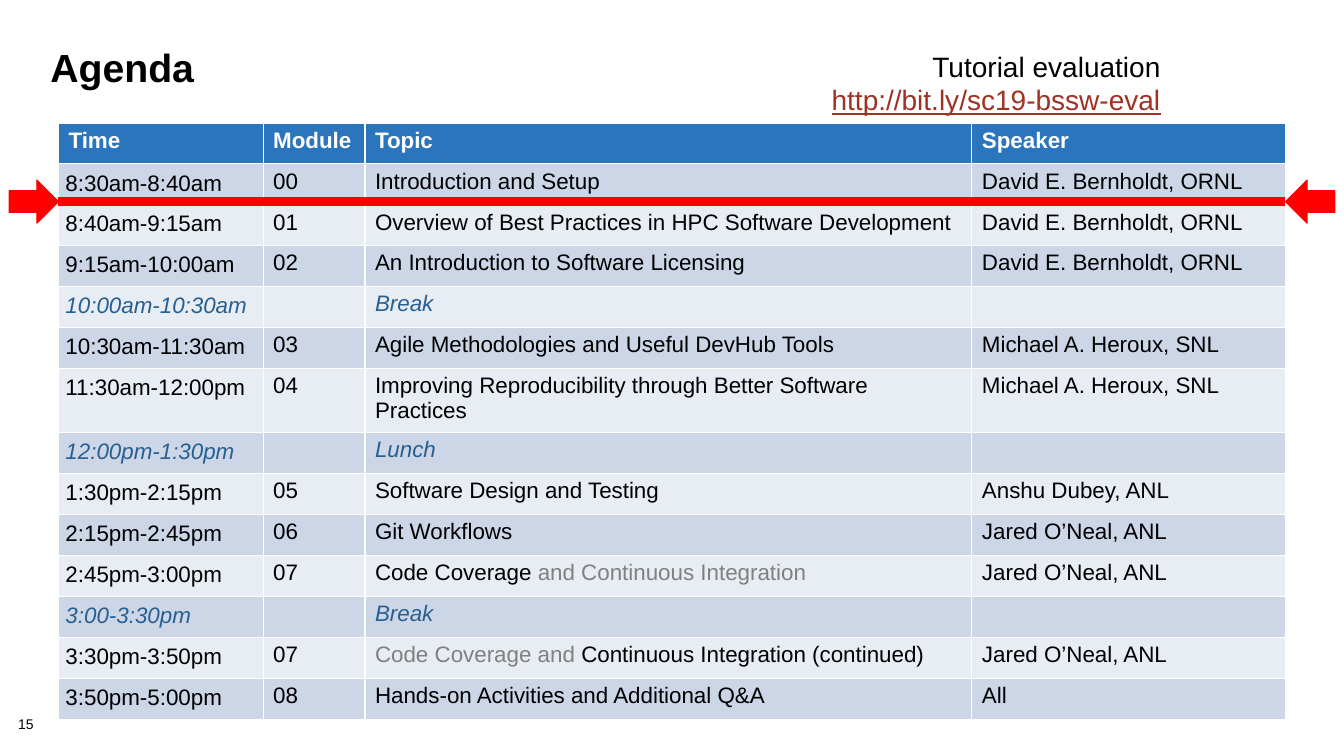
from dataclasses import dataclass

from lxml import etree
from pptx import Presentation
from pptx.dml.color import RGBColor
from pptx.enum.shapes import MSO_CONNECTOR, MSO_SHAPE
from pptx.enum.text import MSO_ANCHOR, PP_ALIGN
from pptx.oxml.ns import qn
from pptx.util import Inches, Pt

BLACK = RGBColor(0x00, 0x00, 0x00)
WHITE = RGBColor(0xFF, 0xFF, 0xFF)
GRAY = RGBColor(0x80, 0x80, 0x80)
RED = RGBColor(0xFF, 0x00, 0x00)
LINK_RED = RGBColor(0xA0, 0x31, 0x23)
PAUSE_BLUE = RGBColor(0x26, 0x60, 0x93)
HEADER_BLUE = RGBColor(0x2A, 0x75, 0xBB)
BAND_DARK = RGBColor(0xCD, 0xD6, 0xE7)
BAND_LIGHT = RGBColor(0xE8, 0xEC, 0xF3)

STRAIGHT = MSO_CONNECTOR.STRAIGHT
RIGHT_ARROW = MSO_SHAPE.RIGHT_ARROW
TOP = MSO_ANCHOR.TOP
ALIGN_LEFT, ALIGN_RIGHT = PP_ALIGN.LEFT, PP_ALIGN.RIGHT

FONT = "Arial"
TABLE_LEFT, TABLE_TOP = 0.58, 1.22
COLUMN_WIDTHS = (2.03, 1.01, 6.02, 3.11)
TABLE_RIGHT = TABLE_LEFT + sum(COLUMN_WIDTHS)
ROWS_HEIGHT = 5.68
MARKER_Y = 2.0
ARROW_WIDTH, ARROW_HEIGHT = 0.49, 0.43


@dataclass(frozen=True)
class Span:
    text: str
    color: RGBColor = BLACK


@dataclass(frozen=True)
class Session:
    time: str
    module: str
    topic: tuple[Span, ...]
    speaker: str

    @property
    def is_pause(self) -> bool:
        return not self.module


def session(time: str, module: str, topic: str, speaker: str) -> Session:
    return Session(time, module, (Span(topic),), speaker)


def pause(time: str, topic: str) -> Session:
    return Session(time, "", (Span(topic, PAUSE_BLUE),), "")


BERNHOLDT = "David E. Bernholdt, ORNL"
HEROUX = "Michael A. Heroux, SNL"
ONEAL = "Jared O’Neal, ANL"

HEADINGS = ("Time", "Module", "Topic", "Speaker")
SESSIONS = (
    session("8:30am-8:40am", "00", "Introduction and Setup", BERNHOLDT),
    session("8:40am-9:15am", "01",
            "Overview of Best Practices in HPC Software Development", BERNHOLDT),
    session("9:15am-10:00am", "02", "An Introduction to Software Licensing", BERNHOLDT),
    pause("10:00am-10:30am", "Break"),
    session("10:30am-11:30am", "03", "Agile Methodologies and Useful DevHub Tools", HEROUX),
    session("11:30am-12:00pm", "04",
            "Improving Reproducibility through Better Software Practices", HEROUX),
    pause("12:00pm-1:30pm", "Lunch"),
    session("1:30pm-2:15pm", "05", "Software Design and Testing", "Anshu Dubey, ANL"),
    session("2:15pm-2:45pm", "06", "Git Workflows", ONEAL),
    Session("2:45pm-3:00pm", "07",
            (Span("Code Coverage "), Span("and Continuous Integration", GRAY)), ONEAL),
    pause("3:00-3:30pm", "Break"),
    Session("3:30pm-3:50pm", "07",
            (Span("Code Coverage and ", GRAY),
             Span("Continuous Integration (continued)")), ONEAL),
    session("3:50pm-5:00pm", "08", "Hands-on Activities and Additional Q&A", "All"),
)


def add_span(para, span: Span, size: float, bold: bool = False, italic: bool = False):
    run = para.add_run()
    run.text = span.text
    run.font.name = FONT
    run.font.size = Pt(size)
    run.font.bold = bold
    run.font.italic = italic
    run.font.color.rgb = span.color
    return run


def fill_cell(cell, spans: tuple[Span, ...], fill: RGBColor,
              bold: bool = False, italic: bool = False) -> None:
    cell.fill.solid()
    cell.fill.fore_color.rgb = fill
    for span in spans:
        if span.text:
            add_span(cell.text_frame.paragraphs[0], span, 16, bold, italic)


def add_title(page) -> None:
    title = page.shapes.title
    title.left, title.top = Inches(0.4), Inches(0.45)
    title.width, title.height = Inches(12.44), Inches(1)
    title.text_frame.vertical_anchor = TOP
    para = title.text_frame.paragraphs[0]
    para.alignment = ALIGN_LEFT
    para.line_spacing = 0.85
    add_span(para, Span("Agenda"), 28, bold=True)


def add_page_number(page) -> None:
    box = page.shapes.add_textbox(Inches(0.18), Inches(7.12), Inches(0.56), Inches(0.16))
    frame = box.text_frame
    frame.word_wrap = True
    frame.margin_left = frame.margin_top = frame.margin_right = frame.margin_bottom = 0
    frame.paragraphs[0].line_spacing = 0.9
    add_span(frame.paragraphs[0], Span("15"), 10)


def add_agenda(page) -> None:
    row_count = len(SESSIONS) + 1
    table = page.shapes.add_table(
        row_count, len(HEADINGS), Inches(TABLE_LEFT), Inches(TABLE_TOP),
        Inches(TABLE_RIGHT - TABLE_LEFT), Inches(ROWS_HEIGHT)).table
    for column, width in zip(table.columns, COLUMN_WIDTHS):
        column.width = Inches(width)
    for row in table.rows:
        row.height = Inches(ROWS_HEIGHT / row_count)

    for index, heading in enumerate(HEADINGS):
        fill_cell(table.cell(0, index), (Span(heading, WHITE),), HEADER_BLUE, bold=True)

    for number, entry in enumerate(SESSIONS, start=1):
        band = BAND_DARK if number % 2 else BAND_LIGHT
        color = PAUSE_BLUE if entry.is_pause else BLACK
        contents = ((Span(entry.time, color),), (Span(entry.module),),
                    entry.topic, (Span(entry.speaker),))
        for index, spans in enumerate(contents):
            fill_cell(table.cell(number, index), spans, band, italic=entry.is_pause)
        time_cell = table.cell(number, 0)
        time_cell.margin_left = time_cell.margin_right = Inches(0.07)
        time_cell.margin_top = time_cell.margin_bottom = Inches(0.07)


def add_marker_arrow(shapes, left: float, rotation: float) -> None:
    arrow = shapes.add_shape(RIGHT_ARROW, Inches(left), Inches(MARKER_Y - ARROW_HEIGHT / 2),
                             Inches(ARROW_WIDTH), Inches(ARROW_HEIGHT))
    arrow.shadow.inherit = False
    arrow.rotation = rotation
    arrow.fill.solid()
    arrow.fill.fore_color.rgb = RED
    arrow.line.color.rgb = RED
    arrow.line.width = Pt(0.75)


def add_progress_marker(page) -> None:
    shapes = page.shapes.add_group_shape().shapes
    line = shapes.add_connector(STRAIGHT, Inches(TABLE_LEFT), Inches(MARKER_Y),
                                Inches(TABLE_RIGHT), Inches(MARKER_Y))
    line.line.color.rgb = RED
    line.line.width = Pt(6)
    etree.SubElement(line._element.spPr, qn("a:effectLst"))
    add_marker_arrow(shapes, TABLE_LEFT - ARROW_WIDTH, 0)
    add_marker_arrow(shapes, TABLE_RIGHT, 180)


def add_evaluation(page) -> None:
    box = page.shapes.add_textbox(Inches(8.12), Inches(0.44), Inches(3.49), Inches(0.77))
    box.text_frame.word_wrap = False
    para = box.text_frame.paragraphs[0]
    para.alignment = ALIGN_RIGHT
    add_span(para, Span("Tutorial evaluation"), 20)
    para.add_line_break()
    address = add_span(para, Span("http://bit.ly/sc19-bssw-eval", LINK_RED), 20)
    address.font.underline = True


def main() -> None:
    deck = Presentation()
    deck.slide_width, deck.slide_height = Inches(13.33), Inches(7.5)
    page = deck.slides.add_slide(deck.slide_layouts[5])  # title only
    add_title(page)
    add_page_number(page)
    add_agenda(page)
    add_progress_marker(page)
    add_evaluation(page)
    deck.save("out.pptx")


if __name__ == "__main__":
    main()
